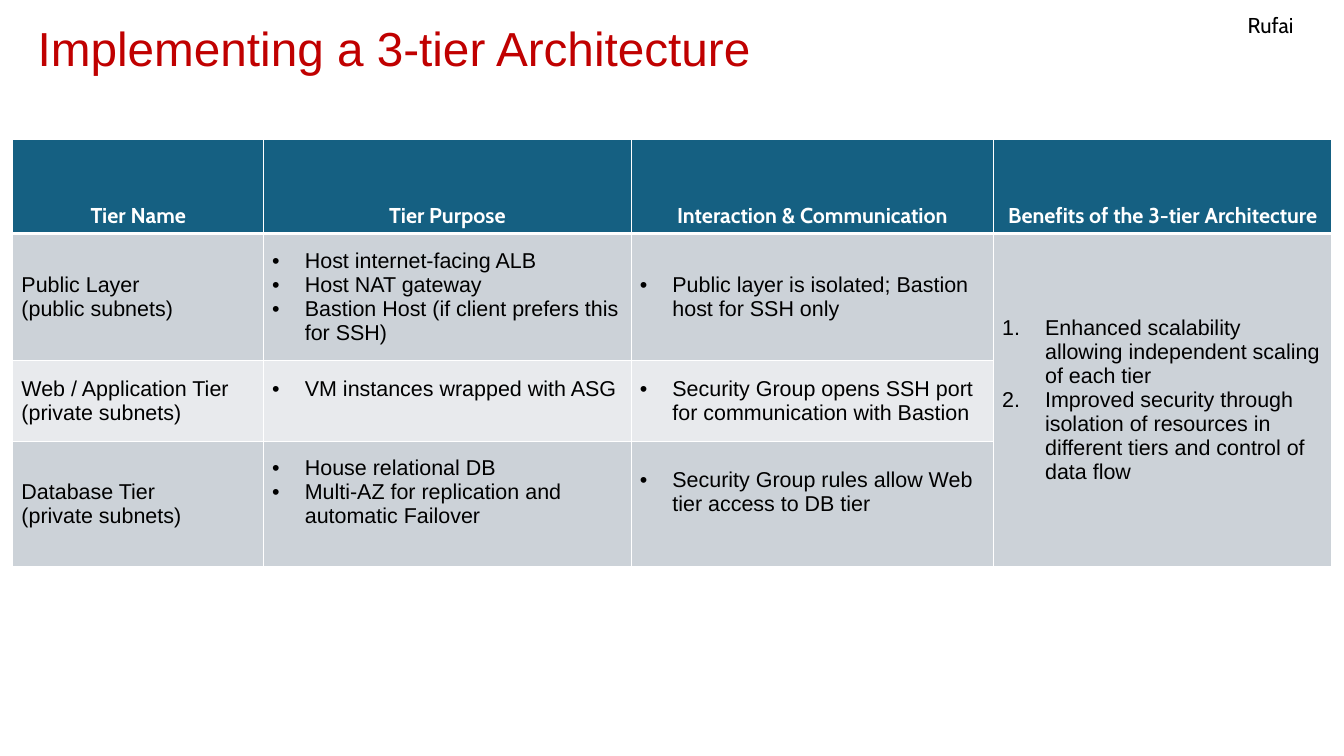
"""Build the 3-tier architecture table slide."""
from lxml.etree import SubElement
from pptx import Presentation
from pptx.dml.color import RGBColor
from pptx.enum.text import MSO_ANCHOR, PP_ALIGN
from pptx.oxml import parse_xml
from pptx.oxml.ns import nsdecls, qn
from pptx.util import Inches, Pt

TITLE = "Implementing a 3-tier Architecture"
AUTHOR = "Rufai"
HEADERS = ["Tier Name", "Tier Purpose", "Interaction & Communication",
           "Benefits of the 3-tier Architecture"]
BENEFITS = ["Enhanced scalability allowing independent scaling of each tier",
            "Improved security through isolation of resources in different tiers "
            "and control of data flow"]
TIERS = [
    (["Public Layer", "(public subnets)"],
     ["Host internet-facing ALB", "Host NAT gateway",
      "Bastion Host (if client prefers this for SSH)"],
     ["Public layer is isolated; Bastion host for SSH only"],
     BENEFITS),
    (["Web / Application Tier (private subnets)"],
     ["VM instances wrapped with ASG"],
     ["Security Group opens SSH port for communication with Bastion"],
     []),
    (["Database Tier", "(private subnets)"],
     ["House relational DB", "Multi-AZ for replication and automatic Failover"],
     ["Security Group rules allow Web tier access to DB tier"],
     []),
]
COL_WIDTHS = [2.92, 4.28, 4.22, 3.94]
ROW_HEIGHTS = [1.1, 1.48, 0.94, 1.46]
RAISED_CELLS = {(2, 1), (3, 1), (3, 2)}
RAISED_MARGIN = 0.33
LIST_STYLES = [None, ("buChar", {"char": "•"}, 0.38), ("buChar", {"char": "•"}, 0.38),
               ("buAutoNum", {"type": "arabicPeriod"}, 0.5)]

RED = RGBColor(0xC0, 0x00, 0x00)
BLACK = RGBColor(0x00, 0x00, 0x00)
WHITE = RGBColor(0xFF, 0xFF, 0xFF)
HEADER_BLUE = RGBColor(0x15, 0x60, 0x82)
BANDS = [RGBColor(0xE8, 0xEA, 0xED), RGBColor(0xCC, 0xD2, 0xD8)]


def add_run(p, text, size, font, color, bold=False):
    r = p.add_run()
    r.text = text
    r.font.size, r.font.name, r.font.bold = Pt(size), font, bold
    r.font.color.rgb = color


def add_label(slide, box, text, size, font, color, wrap):
    tf = slide.shapes.add_textbox(*map(Inches, box)).text_frame
    tf.word_wrap = wrap
    tf.vertical_anchor = MSO_ANCHOR.MIDDLE
    add_run(tf.paragraphs[0], text, size, font, color)
    return tf.paragraphs[0]


def set_list(p, style):
    tag, attrs, indent = style
    pPr = p._p.get_or_add_pPr()
    pPr.set("marL", str(Inches(indent)))
    pPr.set("indent", str(-Inches(indent)))
    SubElement(pPr, qn("a:buFont"), typeface="Arial")
    SubElement(pPr, qn(f"a:{tag}"), **attrs)


def set_borders(cell, row):
    tcPr = cell._tc.get_or_add_tcPr()
    widths = {"L": 1, "R": 1, "T": 3 if row == 1 else 1, "B": 3 if row == 0 else 1}
    for i, (side, width) in enumerate(widths.items()):
        tcPr.insert(i, parse_xml(
            f'<a:ln{side} {nsdecls("a")} w="{Pt(width)}"><a:solidFill>'
            f'<a:srgbClr val="{WHITE}"/></a:solidFill></a:ln{side}>'))


def fill_cell(cell, row, col, lines):
    header = row == 0
    cell.fill.solid()
    cell.fill.fore_color.rgb = HEADER_BLUE if header else BANDS[row % 2]
    cell.vertical_anchor = MSO_ANCHOR.BOTTOM if header else MSO_ANCHOR.MIDDLE
    if (row, col) in RAISED_CELLS:
        cell.margin_bottom = Inches(RAISED_MARGIN)
    set_borders(cell, row)
    tf = cell.text_frame
    for i, line in enumerate(lines):
        p = tf.add_paragraph() if i else tf.paragraphs[0]
        if header:
            p.alignment = PP_ALIGN.CENTER
            add_run(p, line, 18, "Cabin", WHITE, True)
        else:
            if LIST_STYLES[col]:
                set_list(p, LIST_STYLES[col])
            add_run(p, line, 18, "Arial", BLACK)


def add_tier_table(slide):
    rows = [[[h] for h in HEADERS], *TIERS]
    table = slide.shapes.add_table(
        len(rows), len(HEADERS), Inches(0.15), Inches(1.62),
        Inches(sum(COL_WIDTHS)), Inches(sum(ROW_HEIGHTS))).table
    for column, width in zip(table.columns, COL_WIDTHS):
        column.width = Inches(width)
    for table_row, height in zip(table.rows, ROW_HEIGHTS):
        table_row.height = Inches(height)
    for row, cells in enumerate(rows):
        for col, lines in enumerate(cells):
            fill_cell(table.cell(row, col), row, col, lines)
    table.cell(1, 3).merge(table.cell(3, 3))


def main():
    prs = Presentation()
    prs.slide_width, prs.slide_height = Inches(15.65), Inches(8.8)
    s = prs.slides.add_slide(prs.slide_layouts[6])
    title = add_label(s, (0.34, 0.14, 10.71, 0.9), TITLE, 40, "Arial", RED, True)
    title.line_spacing = 0.9
    add_tier_table(s)
    add_label(s, (14.43, 0.09, 0.76, 0.4), AUTHOR, 18, "Cabin", BLACK, False)
    prs.save("out.pptx")


if __name__ == "__main__":
    main()
